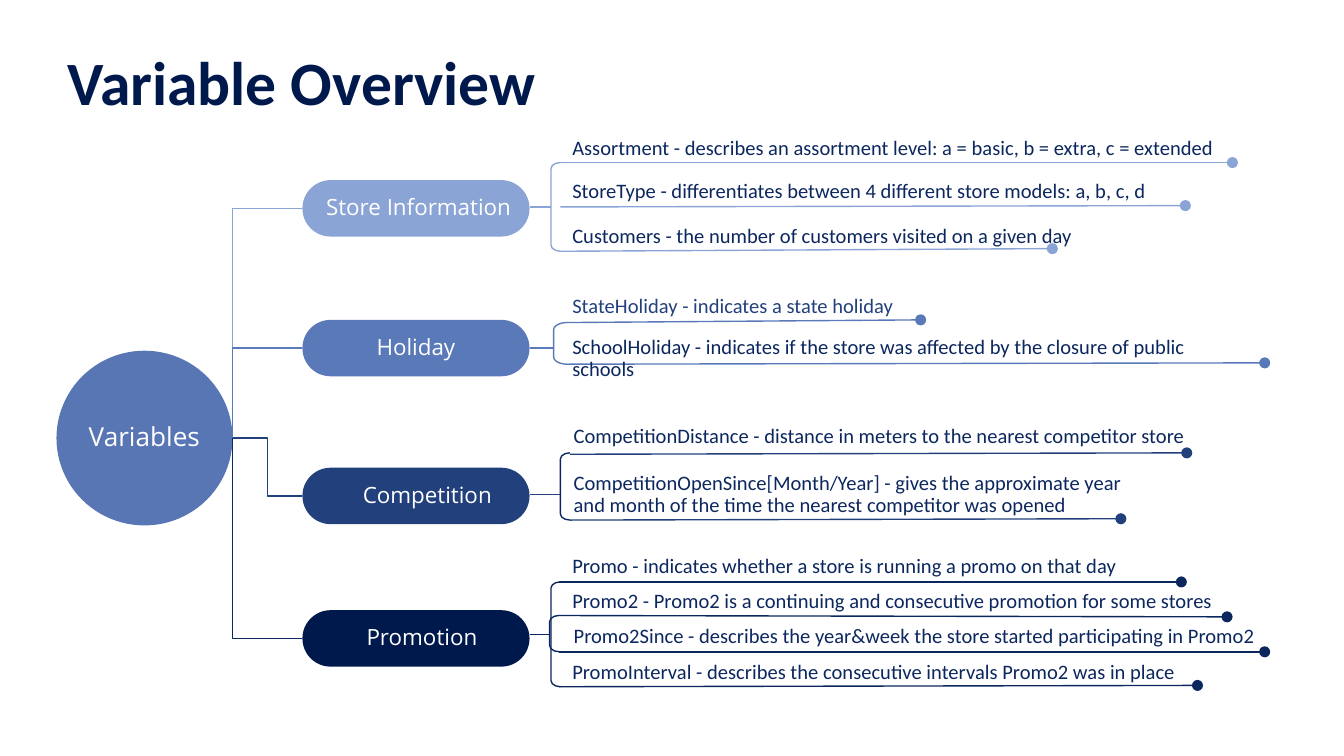
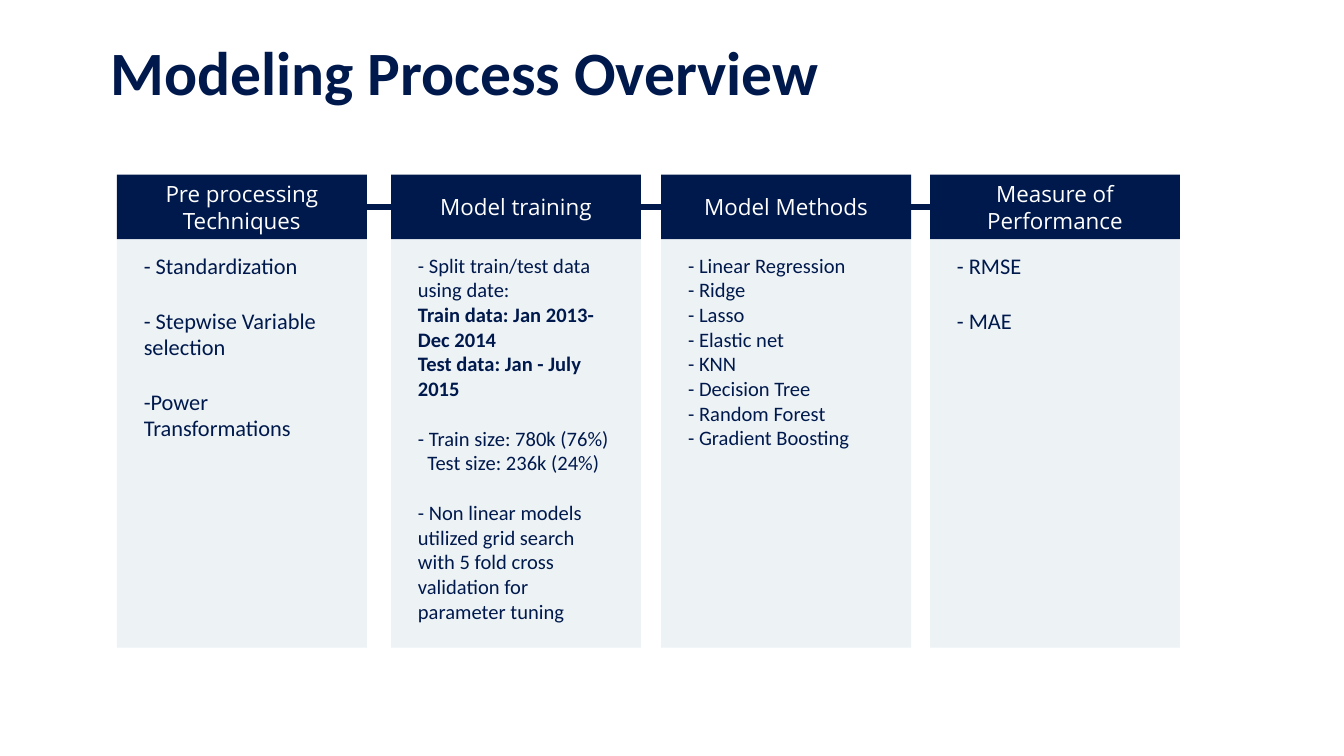
"""Build two slides: a tree of the variables and the steps of the modeling process."""
from lxml import etree
from pptx import Presentation
from pptx import util as u
from pptx.dml.color import RGBColor
from pptx.enum import shapes, text
from pptx.oxml.ns import qn

PX = 9144
NAVY = RGBColor(0x00, 0x19, 0x4C)
INK = RGBColor(0x0C, 0x27, 0x5E)
DEEP = RGBColor(0x22, 0x40, 0x7C)
MID = RGBColor(0x59, 0x79, 0xB9)
LIGHT = RGBColor(0x8B, 0xA4, 0xD6)
ROOT = RGBColor(0x58, 0x76, 0xB3)
PANEL = RGBColor(0xA6, 0xBE, 0xD1)
WHITE = RGBColor(0xFF, 0xFF, 0xFF)
HEAD, BODY = "Open Sans", "Calibri"
LEFT, CENTER = text.PP_ALIGN.LEFT, text.PP_ALIGN.CENTER
TOP, MIDDLE = text.MSO_ANCHOR.TOP, text.MSO_ANCHOR.MIDDLE
SHAPE, CONNECTOR = shapes.MSO_SHAPE, shapes.MSO_CONNECTOR


def dress(sp, lines, margins, anchor, para, font, fill=None):
    """Fill a shape and write its paragraphs, each a text with its own overrides."""
    if fill is not None:
        sp.shadow.inherit = False
        sp.fill.solid()
        sp.fill.fore_color.rgb = fill
        sp.line.fill.background()
    tf = sp.text_frame
    tf.word_wrap, tf.auto_size, tf.vertical_anchor = True, text.MSO_AUTO_SIZE.NONE, anchor
    for side, margin in zip(("left", "top", "right", "bottom"), margins):
        setattr(tf, f"margin_{side}", margin * PX)
    for i, (words, extra) in enumerate(lines):
        p = tf.paragraphs[0] if i == 0 else tf.add_paragraph()
        r = p.add_run()
        r.text = words
        if "indent" in extra:
            p._p.get_or_add_pPr().set("marL", str(extra["indent"] * PX))
        for key, value in para.items():
            setattr(p, key, value)
        if "gap" in extra:
            p.space_before = u.Pt(extra["gap"])
        name, size, color = font
        style = {"name": name, "size": u.Pt(size), "bold": extra.get("bold", False)}
        for key, value in style.items():
            setattr(r.font, key, value)
        r.font.color.rgb = color


def add_line(s, ends, color, width=0.75, bend=None, dot=False):
    """Draw a straight or bent connector, with a dot at its end if wanted."""
    kind = CONNECTOR.STRAIGHT if bend is None else CONNECTOR.ELBOW
    cx = s.shapes.add_connector(kind, *[n * PX for n in ends])
    cx.line.color.rgb = color
    cx.line.width = u.Pt(width)
    sp_pr = cx._element.spPr
    if bend is not None:
        av = sp_pr.find(qn("a:prstGeom")).get_or_add_avLst()
        etree.SubElement(av, qn("a:gd"), name="adj1", fmla=f"val {bend}")
    if dot:
        etree.SubElement(sp_pr.find(qn("a:ln")), qn("a:tailEnd"), type="oval")
    etree.SubElement(sp_pr, qn("a:effectLst"))


prs = Presentation()
prs.slide_width, prs.slide_height = u.Inches(10), u.Inches(5.625)
slides = []
for title, box, spacing in [
    ("Variable Overview", (43, 17, 683, 94), 0.86),
    ("Modeling Process Overview", (75, 23, 850, 67), 0.9),
]:
    s = prs.slides.add_slide(prs.slide_layouts[5])
    sp = s.shapes.title
    sp.left, sp.top, sp.width, sp.height = [n * PX for n in box]
    dress(sp, [(title, {"bold": True})], (7, 4, 7, 4), MIDDLE,
          {"alignment": LEFT, "line_spacing": spacing}, (BODY, 33, NAVY))
    slides.append(s)
tree, process = slides

PILL_X, PILL_W, PILL_H = 225, 169, 42
HUB_X, HUB_Y = 173, 326
branches = [
    {"name": "Store Information", "pill": LIGHT, "line": LIGHT, "bracket": LIGHT,
     "top": 134, "stem": 154, "shift": 4, "bend": 0, "brackets": [(410, 121, 7, 66, 0.65)],
     "rows": [
         ("Assortment - describes an assortment level: a = basic, b = extra, c = extended",
          (416, 98, 539, 27), INK, (121, 917, 121)),
         ("StoreType - differentiates between 4 different store models: a, b, c, d",
          (416, 130, 569, 27), INK, (154, 882, 153)),
         ("Customers - the number of customers visited on a given day",
          (416, 163, 486, 27), INK, (187, 783, 185))]},
    {"name": "Holiday", "pill": MID, "line": MID, "bracket": MID,
     "top": 238, "stem": 259, "shift": 0, "bend": 0, "brackets": [(412, 240, 10, 31, 0.53)],
     "rows": [
         ("StateHoliday - indicates a state holiday",
          (416, 215, 334, 27), DEEP, (240, 685, 238)),
         ("SchoolHoliday - indicates if the store was affected by the closure of public schools",
          (416, 246, 525, 27), INK, (271, 941, 270))]},
    {"name": "Competition", "pill": DEEP, "line": DEEP, "bracket": INK,
     "top": 348, "stem": 368, "shift": 17, "bend": 50000, "brackets": [(417, 337, 7, 50, 0.65)],
     "rows": [
         ("CompetitionDistance - distance in meters to the nearest competitor store",
          (417, 312, 490, 27), INK, (338, 883, 337)),
         ("CompetitionOpenSince[Month/Year] - gives the approximate year and month of the time "
          "the nearest competitor was opened",
          (417, 347, 453, 42), INK, (387, 834, 386))]},
    {"name": "Promotion", "pill": NAVY, "line": INK, "bracket": INK,
     "top": 454, "stem": 472, "shift": 9, "bend": 0,
     "brackets": [(409, 458, 7, 27, 0.65), (410, 433, 7, 78, 0.65)],
     "rows": [
         ("Promo - indicates whether a store is running a promo on that day",
          (416, 409, 444, 27), INK, (433, 879, 433)),
         ("Promo2 - Promo2 is a continuing and consecutive promotion for some stores",
          (416, 435, 546, 27), INK, (458, 913, 459)),
         ("Promo2Since - describes the year&week the store started participating in Promo2",
          (417, 461, 532, 27), INK, (485, 941, 485)),
         ("PromoInterval - describes the consecutive intervals Promo2 was in place",
          (416, 488, 532, 27), INK, (511, 891, 510))]},
]

sp = tree.shapes.add_shape(SHAPE.OVAL, *[n * PX for n in (42, 261, 131, 130)])
dress(sp, [("Variables", {})], (0, 0, 0, 0), MIDDLE,
      {"alignment": CENTER, "line_spacing": 0.9}, (HEAD, 14, WHITE), ROOT)
for b in branches:
    add_line(tree, (HUB_X, HUB_Y, PILL_X, b["top"] + PILL_H // 2), b["line"], bend=b["bend"])
    pill = (PILL_X, b["top"], PILL_W, PILL_H)
    sp = tree.shapes.add_shape(SHAPE.ROUNDED_RECTANGLE, *[n * PX for n in pill])
    sp.adjustments[0] = 0.5
    dress(sp, [(b["name"], {})], (4 + b["shift"], 4, 4, 4), MIDDLE,
          {"alignment": CENTER, "line_spacing": 0.9}, (HEAD, 12, WHITE), b["pill"])
    for *box, curve in b["brackets"]:
        sp = tree.shapes.add_shape(SHAPE.LEFT_BRACKET, *[n * PX for n in box])
        sp.shadow.inherit = False
        sp.adjustments[0] = curve
        sp.fill.background()
        sp.line.color.rgb = b["bracket"]
        sp.line.width = u.Pt(0.75)
    x, _, w, _, _ = b["brackets"][0]
    add_line(tree, (x, b["stem"], PILL_X + PILL_W, b["stem"]), b["line"])
    for words, box, color, (start_y, end_x, end_y) in b["rows"]:
        add_line(tree, (x + w, start_y, end_x, end_y), b["line"], dot=True)
        sp = tree.shapes.add_textbox(*[n * PX for n in box])
        dress(sp, [(words, {})], (10, 5, 10, 5), TOP,
              {"alignment": LEFT, "line_spacing": 0.89}, (BODY, 11, color))

STEP_W, HEAD_Y, HEAD_H, PANEL_H = 186, 130, 48, 304
steps = [
    (87, "Pre processing Techniques", 12, [
        ("- Standardization", {}),
        ("- Stepwise Variable selection", {"gap": 14.6}),
        ("-Power Transformations", {"gap": 14.6})]),
    (291, "Model training", 11, [
        ("- Split train/test data using date:", {}),
        ("Train data: Jan 2013- Dec 2014", {"bold": True}),
        ("Test data: Jan - July 2015", {"bold": True}),
        ("- Train size: 780k (76%)", {"gap": 13.4}),
        ("Test size: 236k (24%)", {"indent": 7}),
        ("- Non linear models utilized grid search with 5 fold cross validation "
         "for parameter tuning", {"gap": 13.4})]),
    (492, "Model Methods", 11, [(f"- {method}", {}) for method in (
        "Linear Regression", "Ridge", "Lasso", "Elastic net", "KNN",
        "Decision Tree", "Random Forest", "Gradient Boosting")]),
    (692, "Measure of Performance", 12, [("- RMSE", {}), ("- MAE", {"gap": 14.6})]),
]
add_line(process, (steps[0][0], 154, steps[-1][0], 154), NAVY, 3)
for x, name, size, lines in steps:
    for y, h, fill, words, anchor, align, font in [
        (HEAD_Y, HEAD_H, NAVY, [(name, {})], MIDDLE, CENTER, (HEAD, 12, WHITE)),
        (HEAD_Y + HEAD_H, PANEL_H, PANEL, lines, TOP, LEFT, (BODY, size, NAVY)),
    ]:
        sp = process.shapes.add_shape(SHAPE.RECTANGLE, *[n * PX for n in (x, y, STEP_W, h)])
        dress(sp, words, (20, 10, 20, 10), anchor, {"alignment": align}, font, fill)
    tint = sp._element.spPr.find(qn("a:solidFill"))[0]
    etree.SubElement(tint, qn("a:alpha"), val="20000")

prs.save("out.pptx")
